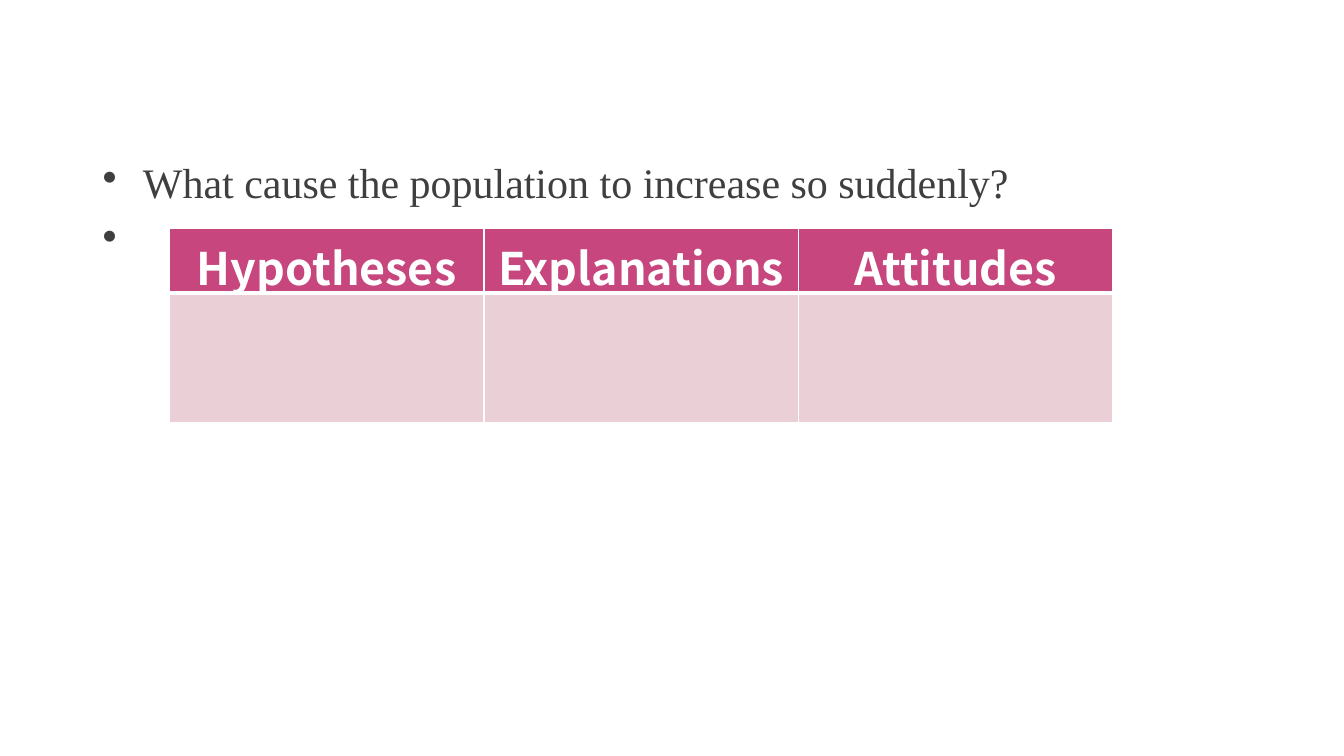
"""Build a slide with a bulleted question above a three-column table."""
from lxml import etree
from pptx import Presentation
from pptx.dml.color import RGBColor
from pptx.enum.text import PP_ALIGN
from pptx.oxml.ns import qn
from pptx.util import Inches, Pt

CENTER = PP_ALIGN.CENTER
WHITE = RGBColor(0xFF, 0xFF, 0xFF)
GRAY = RGBColor(0x3F, 0x3F, 0x3F)
ROSE = RGBColor(0xC6, 0x46, 0x7D)
PINK = RGBColor(0xEA, 0xCF, 0xD7)

BULLETS = ["What cause the population to increase so suddenly?", " "]
HEADS = ["Hypotheses", "Explanations", "Attitudes"]
ROWS = [(HEADS, 0.63, ROSE), ([""] * len(HEADS), 1.29, PINK)]
COL = 3.12
RULE = 3
THIN = 1


def add_bullets(slide):
    box = slide.shapes.add_textbox(
        Inches(0.92), Inches(1.56), Inches(11.5), Inches(5.19))
    frame = box.text_frame
    frame.word_wrap = True
    frame.text = "\n".join(BULLETS)
    for para in frame.paragraphs:
        para.line_spacing = 0.9
        para.space_before = Pt(10)
        para.font.size = Pt(30)
        para.font.name = "Times New Roman"
        para.font.color.rgb = GRAY
        for run in para.runs:
            run.font.size = Pt(30)
            run.font.color.rgb = GRAY
        props = para._p.get_or_add_pPr()
        props.set("marL", str(Inches(0.4)))
        props.set("indent", str(-Inches(0.4)))
        mark = etree.Element(qn("a:buChar"), char="•")
        props.find(qn("a:defRPr")).addprevious(mark)


def add_edges(cell, head):
    props = cell._tc.get_or_add_tcPr()
    sides = {"L": THIN, "R": THIN,
             "T": THIN if head else RULE, "B": RULE if head else THIN}
    for side, width in sides.items():
        line = etree.SubElement(props, qn("a:ln" + side), w=str(Pt(width)))
        fill = etree.SubElement(line, qn("a:solidFill"))
        etree.SubElement(fill, qn("a:srgbClr"), val=str(WHITE))


def add_grid(slide):
    high = sum(row[1] for row in ROWS)
    table = slide.shapes.add_table(
        len(ROWS), len(HEADS), Inches(1.68), Inches(2.27),
        Inches(COL * len(HEADS)), Inches(high)).table
    for col in table.columns:
        col.width = Inches(COL)
    for i, (texts, tall, color) in enumerate(ROWS):
        table.rows[i].height = Inches(tall)
        for j, text in enumerate(texts):
            cell = table.cell(i, j)
            add_edges(cell, i == 0)
            cell.fill.solid()
            cell.fill.fore_color.rgb = color
            if text:
                cell.text = text
                para = cell.text_frame.paragraphs[0]
                para.alignment = CENTER
                para.font.size = Pt(32)
                para.font.bold = True
                para.font.name = "Noto Sans CJK SC"
                para.font.color.rgb = WHITE


def main():
    deck = Presentation()
    deck.slide_width = Inches(13.33)
    deck.slide_height = Inches(7.5)
    slide = deck.slides.add_slide(deck.slide_layouts[6])
    add_bullets(slide)
    add_grid(slide)
    deck.save("out.pptx")


if __name__ == "__main__":
    main()
